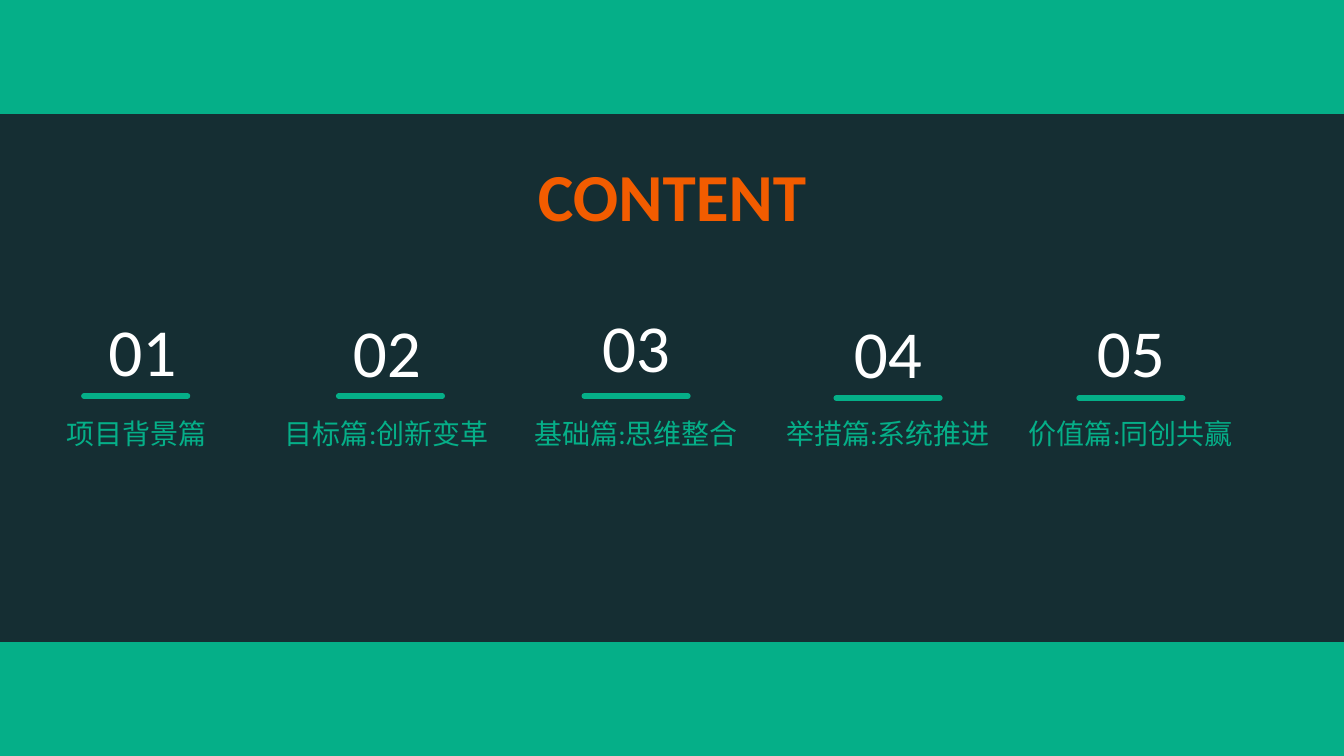
from lxml.etree import SubElement
from pptx import Presentation
from pptx.dml.color import RGBColor
from pptx.enum.shapes import MSO_CONNECTOR, MSO_SHAPE
from pptx.enum.text import MSO_ANCHOR, MSO_AUTO_SIZE, PP_ALIGN
from pptx.oxml.ns import qn
from pptx.util import Cm, Pt

COLORS = {"background": "152E33", "green": "05AF88", "orange": "F25C00", "white": "FFFFFF"}
FONT = "Calibri"
TITLE = "CONTENT"

# All lengths in cm.
# number, label, label width, then centres of label, number and rule, number top, rule height
CHAPTERS = [
    ("01", "项目背景篇", 4.1, 3.45, 3.59, 3.42, 7.67, 9.98),
    ("02", "目标篇:创新变革", 5.69, 9.75, 9.75, 9.84, 7.7, 9.98),
    ("03", "基础篇:思维整合", 5.69, 16.03, 16.03, 16.03, 7.57, 9.98),
    ("04", "举措篇:系统推进", 5.69, 22.38, 22.38, 22.38, 7.72, 10.03),
    ("05", "价值篇:同创共赢", 5.69, 28.5, 28.5, 28.5, 7.7, 10.03),
]
SLIDE_WIDTH, SLIDE_HEIGHT = 33.87, 19.05
BAND_HEIGHT = 2.87
TITLE_BOX = (13.18, 3.76, 7.52, 2.31)
LABEL_TOP, LABEL_HEIGHT = 10.36, 1.12
NUMBER_WIDTH, NUMBER_HEIGHT = 2.26, 2.31
RULE_WIDTH = 2.61


def color(name):
    return RGBColor.from_string(COLORS[name])


def write(shape, text, size, color_name, bold=False):
    frame = shape.text_frame
    frame.text = text
    frame.word_wrap = True
    frame.auto_size = MSO_AUTO_SIZE.NONE
    frame.vertical_anchor = MSO_ANCHOR.TOP
    paragraph = frame.paragraphs[0]
    paragraph.alignment = PP_ALIGN.CENTER
    paragraph.font.name = FONT
    paragraph.font.size = Pt(size)
    paragraph.font.bold = bold
    paragraph.font.color.rgb = color(color_name)


def add_centred_text(slide, text, centre, top, width, height, size, color_name):
    box = slide.shapes.add_textbox(Cm(centre - width / 2), Cm(top), Cm(width), Cm(height))
    write(box, text, size, color_name)


def add_rule(slide, centre, y):
    rule = slide.shapes.add_connector(
        MSO_CONNECTOR.STRAIGHT,
        Cm(centre + RULE_WIDTH / 2), Cm(y), Cm(centre - RULE_WIDTH / 2), Cm(y))
    rule.line.color.rgb = color("green")
    rule.line.width = Pt(4)
    properties = rule.element.spPr
    properties.find(qn("a:ln")).set("cap", "rnd")
    SubElement(properties, qn("a:effectLst"))


def add_band(slide, top):
    band = slide.shapes.add_shape(
        MSO_SHAPE.RECTANGLE, 0, Cm(top), Cm(SLIDE_WIDTH), Cm(BAND_HEIGHT))
    band.shadow.inherit = False
    band.fill.solid()
    band.fill.fore_color.rgb = color("green")
    band.line.fill.background()


def main():
    deck = Presentation()
    deck.slide_width, deck.slide_height = Cm(SLIDE_WIDTH), Cm(SLIDE_HEIGHT)
    slide = deck.slides.add_slide(deck.slide_layouts.get_by_name("Title Only"))
    slide.background.fill.solid()
    slide.background.fill.fore_color.rgb = color("background")

    title = slide.shapes.title
    title.left, title.top, title.width, title.height = map(Cm, TITLE_BOX)
    write(title, TITLE, 48, "orange", bold=True)

    for band_top in (0, SLIDE_HEIGHT - BAND_HEIGHT):
        add_band(slide, band_top)

    for (number, label, label_width, label_centre, number_centre,
         rule_centre, number_top, rule_y) in CHAPTERS:
        add_centred_text(slide, label, label_centre, LABEL_TOP,
                         label_width, LABEL_HEIGHT, 20, "green")
        add_centred_text(slide, number, number_centre, number_top,
                         NUMBER_WIDTH, NUMBER_HEIGHT, 48, "white")
        add_rule(slide, rule_centre, rule_y)

    deck.save("out.pptx")


if __name__ == "__main__":
    main()
